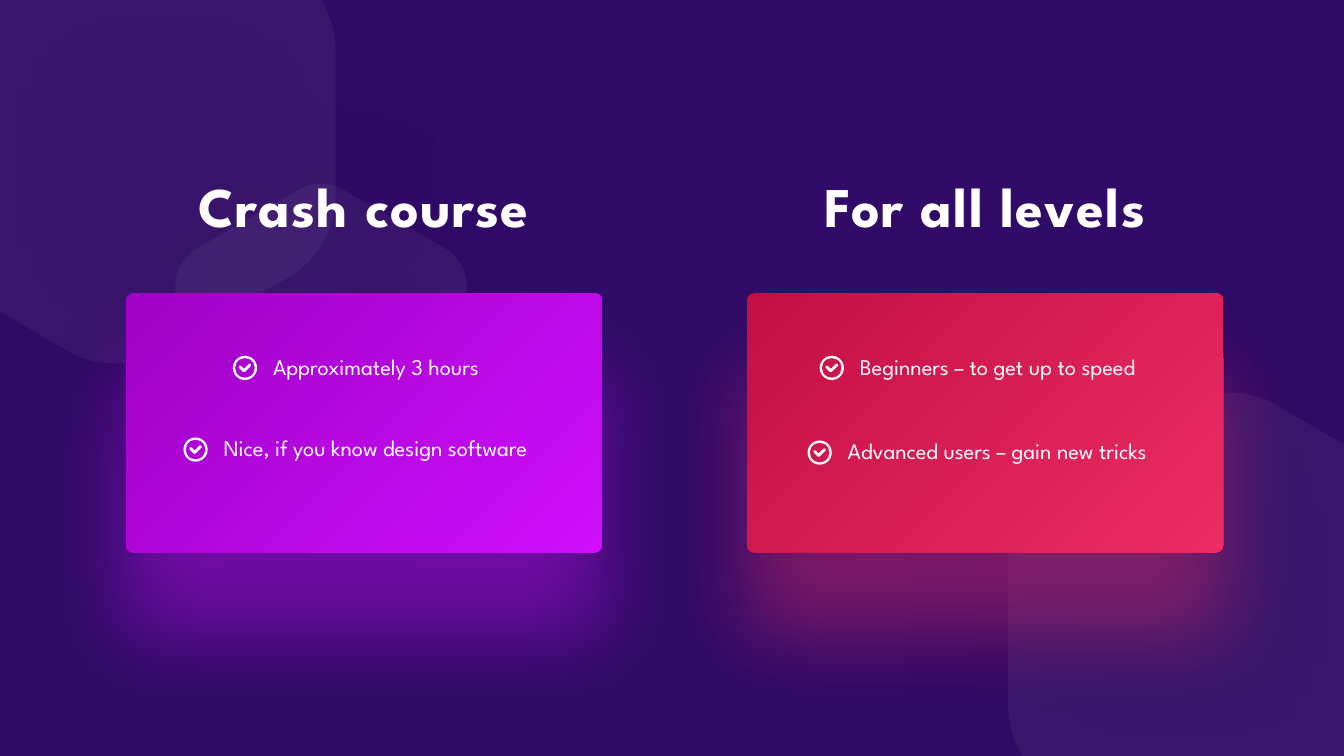
"""Builds a slide with two course cards, each under a heading and holding two ticked points."""
from math import cos, dist, pi, sin

from lxml.etree import SubElement
from pptx import Presentation
from pptx.dml.color import RGBColor
from pptx.enum.shapes import MSO_SHAPE
from pptx.enum.text import MSO_AUTO_SIZE, PP_ALIGN
from pptx.oxml.ns import qn
from pptx.util import Emu, Inches, Pt

FONT, WHITE, BACKDROP = "League Spartan", "FFFFFF", "310B68"
WIDTH, HEIGHT = 13.33, 7.5

CARDS = [
    {"heading": "Crash course", "gradient": ("9F02C5", "CE0EFC"),
     "points": [("Approximately 3 hours", 2.61, 3.45, 2.3),
                ("Nice, if you know design software", 2.12, 4.26, 3.28)]},
    {"heading": "For all levels", "gradient": ("C21045", "ED2B65"),
     "points": [("Beginners – to get up to speed", 8.43, 3.45, 2.99),
                ("Advanced users – gain new tricks", 8.31, 4.29, 3.23)]},
]
FIRST_LEFT, COLUMN_STEP = 1.25, 6.16
CARD_WIDTH, CARD_HEIGHT, CARD_TOP = 4.72, 2.57, 2.91
HEADING_TOP, HEADING_HEIGHT, POINT_HEIGHT = 1.65, 0.77, 0.37
ICON, ICON_LEFT, ICON_DROP = 0.24, -0.3, 0.08
TICK = [(-0.05, -0.01), (-0.01, 0.03), (0.05, -0.03)]

CORNER_HEXAGON = [(10.14, 7.5, 0), (13.33, 7.5, 0), (13.33, 4.41, 0),
                  (12.2, 3.75, 0.54), (10, 5.02, 0.54), (10, 7.25, 0.24)]
SMALL_CENTRE, SMALL_RADIUS, SMALL_ROUNDING = (3.185, 3.425), 1.67, 0.25


def rgb(colour):
    return RGBColor.from_string(colour)


def rounded(corners, steps=12):
    """Return the outline of a polygon whose corners are (x, y, rounding)."""
    outline = []
    for i, (x, y, rounding) in enumerate(corners):
        if not rounding:
            outline.append((x, y))
            continue
        ends = []
        for nx, ny, _ in (corners[i - 1], corners[(i + 1) % len(corners)]):
            share = rounding / dist((x, y), (nx, ny))
            ends.append(((nx - x) * share, (ny - y) * share))
        (ax, ay), (bx, by) = ends
        for step in range(steps + 1):
            t = step / steps
            a = (1 - t) ** 3 + 1.14 * t * (1 - t) ** 2
            b = t ** 3 + 1.14 * (1 - t) * t ** 2
            outline.append((x + a * ax + b * bx, y + a * ay + b * by))
    return outline


def draw_outline(shapes, outline, close=True):
    points = [(Inches(x), Inches(y)) for x, y in outline]
    builder = shapes.build_freeform(*points[0], scale=1.0)
    builder.add_line_segments(points[1:], close=close)
    shape = builder.convert_to_shape()
    shape.shadow.inherit = False
    return shape


def add_shadow(shape, colour, alpha, blur, distance, angle):
    effects = shape._element.spPr.find(qn("a:effectLst"))
    shadow = SubElement(effects, qn("a:outerShdw"), blurRad=str(Pt(blur)),
                        dist=str(Pt(distance)), dir=str(angle * 60000),
                        algn="ctr", rotWithShape="0")
    tint = SubElement(shadow, qn("a:srgbClr"), val=colour)
    SubElement(tint, qn("a:alpha"), val=str(alpha * 1000))


def add_hexagon(shapes, corners):
    hexagon = draw_outline(shapes, rounded(corners))
    hexagon.fill.solid()
    hexagon.fill.fore_color.rgb = rgb(WHITE)
    tint = hexagon._element.spPr.find(qn("a:solidFill"))[0]
    SubElement(tint, qn("a:alpha"), val="5000")
    hexagon.line.fill.background()
    add_shadow(hexagon, "000000", 75, 100, 0, 0)


def add_text(shapes, text, box, size, wrap=True):
    frame = shapes.add_textbox(*map(Inches, box)).text_frame
    frame.word_wrap = wrap
    frame.auto_size = MSO_AUTO_SIZE.SHAPE_TO_FIT_TEXT
    line = frame.paragraphs[0]
    line.text = text
    line.font.name, line.font.size = FONT, Pt(size)
    line.font.color.rgb = rgb(WHITE)
    return line


def add_icon(shapes, left, top):
    ring = shapes.add_shape(MSO_SHAPE.DONUT, *map(Inches, (left, top, ICON, ICON)))
    ring.adjustments[0] = 0.09
    ring.shadow.inherit = False
    ring.fill.solid()
    ring.fill.fore_color.rgb = rgb(WHITE)
    ring.line.fill.background()
    centre_x, centre_y = left + ICON / 2, top + ICON / 2
    tick = draw_outline(shapes, [(centre_x + x, centre_y + y) for x, y in TICK], close=False)
    tick.fill.background()
    tick.line.color.rgb = rgb(WHITE)
    tick.line.width = Pt(2)
    stroke = tick._element.spPr.find(qn("a:ln"))
    stroke.set("cap", "rnd")
    SubElement(stroke, qn("a:round"))


def add_card(slide, card, left):
    heading = add_text(slide.shapes, card["heading"],
                       (left, HEADING_TOP, CARD_WIDTH, HEADING_HEIGHT), 40)
    heading.alignment = PP_ALIGN.CENTER
    heading.font.bold = True
    heading.runs[0]._r.get_or_add_rPr().set("spc", "100")

    shapes = slide.shapes.add_group_shape().shapes
    panel = shapes.add_shape(MSO_SHAPE.ROUNDED_RECTANGLE,
                             *map(Inches, (left, CARD_TOP, CARD_WIDTH, CARD_HEIGHT)))
    panel.adjustments[0] = 0.026
    panel.shadow.inherit = False
    panel.line.fill.background()
    panel.fill.gradient()
    panel.fill.gradient_angle = 315
    for stop, colour in zip(panel.fill.gradient_stops, card["gradient"]):
        stop.color.rgb = rgb(colour)
    add_shadow(panel, card["gradient"][1], 40, 60, 57, 90)
    for text, x, y, width in card["points"]:
        add_text(shapes, text, (x, y, width, POINT_HEIGHT), 16, wrap=False)
        add_icon(shapes, x + ICON_LEFT, y + ICON_DROP)


def main():
    deck = Presentation()
    deck.slide_width, deck.slide_height = Emu(Inches(WIDTH)), Emu(Inches(HEIGHT))
    slide = deck.slides.add_slide(deck.slide_layouts[6])
    slide.background.fill.solid()
    slide.background.fill.fore_color.rgb = rgb(BACKDROP)

    opposite = [(WIDTH - x, HEIGHT - y, rounding) for x, y, rounding in CORNER_HEXAGON]
    small = [(SMALL_CENTRE[0] + SMALL_RADIUS * sin(k * pi / 3),
              SMALL_CENTRE[1] - SMALL_RADIUS * cos(k * pi / 3), SMALL_ROUNDING)
             for k in range(6)]
    for corners in (opposite, small, CORNER_HEXAGON):
        add_hexagon(slide.shapes, corners)
    for column, card in enumerate(CARDS):
        add_card(slide, card, FIRST_LEFT + column * COLUMN_STEP)
    deck.save("out.pptx")


if __name__ == "__main__":
    main()
